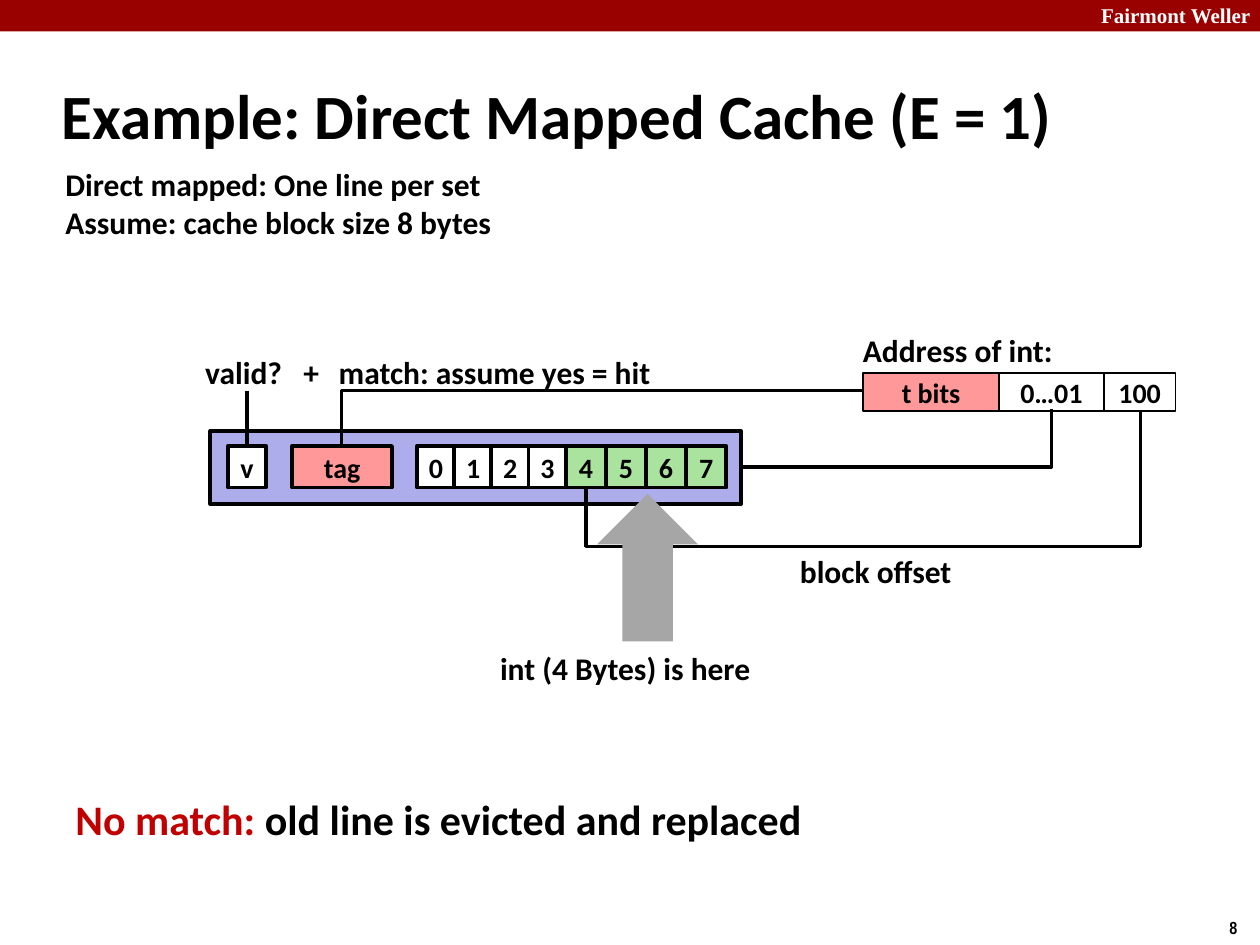
from dataclasses import dataclass
from itertools import accumulate
from typing import Any

from lxml import etree
from pptx import Presentation
from pptx.dml.color import RGBColor
from pptx.enum.shapes import MSO_CONNECTOR, MSO_SHAPE
from pptx.enum.text import MSO_ANCHOR, MSO_AUTO_SIZE, PP_ALIGN
from pptx.oxml.ns import qn
from pptx.util import Inches, Pt

RECTANGLE, UP_ARROW = MSO_SHAPE.RECTANGLE, MSO_SHAPE.UP_ARROW
STRAIGHT, ELBOW = MSO_CONNECTOR.STRAIGHT, MSO_CONNECTOR.ELBOW
TOP, MIDDLE = MSO_ANCHOR.TOP, MSO_ANCHOR.MIDDLE
CENTER, FIT_TEXT, NO_FIT = PP_ALIGN.CENTER, MSO_AUTO_SIZE.SHAPE_TO_FIT_TEXT, MSO_AUTO_SIZE.NONE

BLACK, WHITE, RED, BANNER = "000000", "FFFFFF", "C00000", "990000"
PINK, GREEN, LAVENDER, GRAY = "FF9999", "A9E39D", "ADADEB", "A6A6A6"
ROW_TOP, ROW_HEIGHT = 3.54, 0.33
ADDRESS_LEFT, ADDRESS_TOP, ADDRESS_HEIGHT = 6.85, 2.96, 0.3


@dataclass
class Box:
    left: float
    top: float
    width: float
    height: float
    fill: str
    text: str = ""
    line_width: float = 0
    wrap: bool = False
    preset: Any = RECTANGLE


@dataclass
class Label:
    left: float
    top: float
    width: float
    height: float
    lines: list[list[tuple[str, str]]]
    size: float = 18
    font: str = "Calibri"
    wrap: bool = False
    anchor: Any = TOP
    fit: Any = FIT_TEXT


@dataclass
class Elbow:
    left: float
    top: float
    width: float
    height: float
    preset: str
    transform: dict[str, str]
    bend: int | None = None


def color(hex_value: str) -> RGBColor:
    return RGBColor.from_string(hex_value)


def apply(target: Any, values: dict[str, Any]) -> None:
    for name, value in values.items():
        setattr(target, name, value)


def write(paragraph: Any, text: str, size: float, font: str, ink: str) -> None:
    run = paragraph.add_run()
    run.text = text
    apply(run.font, {"size": Pt(size), "name": font, "bold": True})
    run.font.color.rgb = color(ink)


def draw_box(slide: Any, box: Box) -> Any:
    bounds = map(Inches, (box.left, box.top, box.width, box.height))
    shape = slide.shapes.add_shape(box.preset, *bounds)
    shape.shadow.inherit = False
    shape.fill.solid()
    shape.fill.fore_color.rgb = color(box.fill)
    if box.line_width:
        shape.line.color.rgb = color(BLACK)
        shape.line.width = Pt(box.line_width)
    else:
        shape.line.fill.background()
    if box.text:
        apply(shape.text_frame, {"word_wrap": box.wrap, "vertical_anchor": MIDDLE})
        paragraph = shape.text_frame.paragraphs[0]
        paragraph.alignment = CENTER
        write(paragraph, box.text, 16, "Calibri", BLACK)
    return shape


def draw_label(slide: Any, label: Label) -> None:
    bounds = map(Inches, (label.left, label.top, label.width, label.height))
    frame = slide.shapes.add_textbox(*bounds).text_frame
    apply(frame, {"word_wrap": label.wrap, "vertical_anchor": label.anchor,
                  "auto_size": label.fit})
    for index, line in enumerate(label.lines):
        paragraph = frame.add_paragraph() if index else frame.paragraphs[0]
        for text, ink in line:
            write(paragraph, text, label.size, label.font, ink)


def draw_connector(slide: Any, kind: Any, x1: float, y1: float, x2: float, y2: float) -> Any:
    connector = slide.shapes.add_connector(kind, *map(Inches, (x1, y1, x2, y2)))
    connector.line.color.rgb = color(BLACK)
    connector.line.width = Pt(2)
    etree.SubElement(connector._element.spPr, qn("a:effectLst"))
    return connector


def draw_elbow(slide: Any, elbow: Elbow) -> None:
    right, bottom = elbow.left + elbow.width, elbow.top + elbow.height
    connector = draw_connector(slide, ELBOW, elbow.left, elbow.top, right, bottom)
    properties = connector._element.spPr
    for name, value in elbow.transform.items():
        properties.find(qn("a:xfrm")).set(name, value)
    geometry = properties.find(qn("a:prstGeom"))
    geometry.set("prst", elbow.preset)
    if elbow.bend is not None:
        adjustments = geometry.find(qn("a:avLst"))
        if adjustments is None:
            adjustments = etree.SubElement(geometry, qn("a:avLst"))
        etree.SubElement(adjustments, qn("a:gd"), name="adj1", fmla=f"val {elbow.bend}")


def plain(text: str) -> list[list[tuple[str, str]]]:
    return [[(line, BLACK)] for line in text.split("\n")]


def cache_cell(left: float, width: float, fill: str, text: str) -> Box:
    return Box(left, ROW_TOP, width, ROW_HEIGHT, fill, text, 2.25)


def main() -> None:
    presentation = Presentation()
    apply(presentation, {"slide_width": Inches(10), "slide_height": Inches(7.5)})
    slide = presentation.slides.add_slide(presentation.slide_layouts[6])

    draw_box(slide, Box(0, 0, 10, 0.25, BANNER))

    fields = [("t bits", 1.08, PINK), ("0…01", 0.83, WHITE), ("100", 0.57, WHITE)]
    field_lefts = accumulate((width for _, width, _ in fields), initial=ADDRESS_LEFT)
    for left, (text, width, fill) in zip(field_lefts, fields):
        draw_box(slide, Box(left, ADDRESS_TOP, width, ADDRESS_HEIGHT, fill, text, 1, True))

    draw_box(slide, Box(1.67, 3.42, 4.21, 0.58, LAVENDER, line_width=2.25))
    valid_bit = draw_box(slide, cache_cell(1.81, 0.3, WHITE, "v"))
    draw_box(slide, cache_cell(2.32, 0.79, PINK, "tag"))
    for byte in range(4):
        draw_box(slide, cache_cell(3.31 + 0.295 * byte, 0.3, WHITE, str(byte)))
    for byte in range(4):
        draw_box(slide, cache_cell(4.49 + 0.318 * byte, 0.32, GREEN, str(byte + 4)))

    quarter_turn, half_turn = {"rot": "5400000"}, {"rot": "10800000", "flipV": "1"}
    for elbow in (
        Elbow(6.88, 2.24, 0.46, 2.47, "bentConnector2", quarter_turn),
        Elbow(2.71, 3.1, 4.14, 0.44, "bentConnector2", half_turn),
        Elbow(6.54, 1.36, 0.62, 4.4, "bentConnector3", quarter_turn, 175100),
    ):
        draw_elbow(slide, elbow)
    valid_check = draw_connector(slide, STRAIGHT, 1.96, 3.1, 1.96, ROW_TOP)
    valid_check.end_connect(valid_bit, 0)

    draw_box(slide, Box(4.74, 3.92, 0.8, 1.17, GRAY, preset=UP_ARROW))

    for label in (
        Label(8.64, -0.03, 1.43, 0.3, [[("Fairmont Weller", WHITE)]], 12,
              "Times New Roman", True),
        Label(9.66, 7.23, 0.34, 0.27, plain("8"), 10, "Arial Narrow"),
        Label(0.39, 0.49, 8.3, 0.83, plain("Example: Direct Mapped Cache (E = 1)"), 36,
              wrap=True, anchor=MIDDLE, fit=NO_FIT),
        Label(0.42, 1.26, 3.61, 0.71,
              plain("Direct mapped: One line per set\nAssume: cache block size 8 bytes")),
        Label(6.75, 2.58, 1.72, 0.4, plain("Address of int:")),
        Label(1.53, 2.75, 0.81, 0.4, plain("valid?")),
        Label(2.31, 2.75, 0.33, 0.4, plain("+")),
        Label(2.59, 2.75, 2.7, 0.4, plain("match: assume yes = hit")),
        Label(3.87, 5.1, 2.21, 0.4, plain("int (4 Bytes) is here")),
        Label(6.25, 4.33, 1.42, 0.4, plain("block offset")),
        Label(0.5, 6.25, 6.02, 0.5,
              [[("No match: ", RED), ("old line is evicted and replaced", BLACK)]], 24),
    ):
        draw_label(slide, label)

    presentation.save("out.pptx")


if __name__ == "__main__":
    main()
